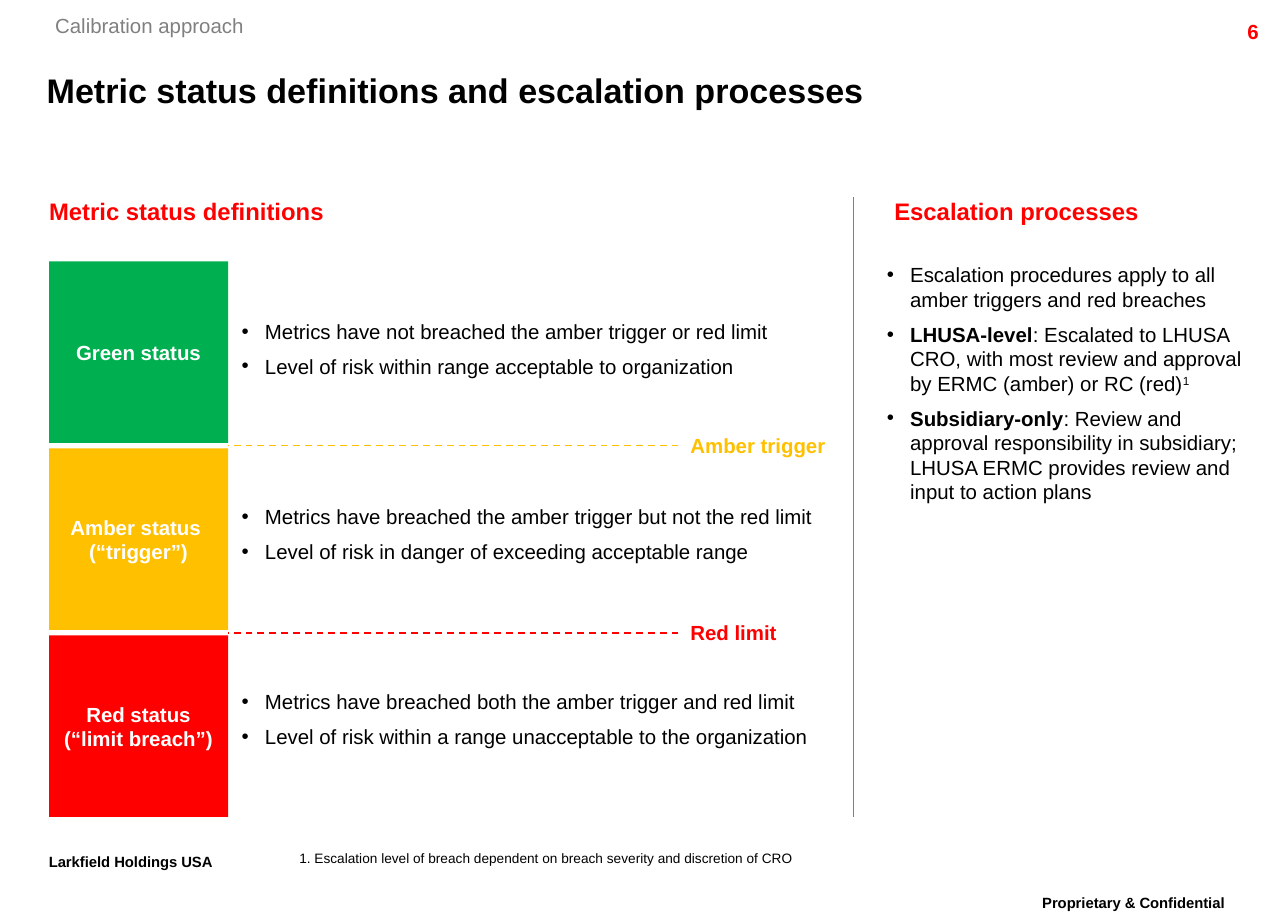
from pptx import Presentation
from pptx.dml.color import RGBColor as Rgb
from pptx.enum.dml import MSO_LINE as Dash
from pptx.enum.shapes import MSO_CONNECTOR as Conn, MSO_SHAPE as Form
from pptx.enum.text import MSO_ANCHOR as Anchor, PP_ALIGN as Align
from pptx.oxml.ns import qn
from pptx.util import Inches, Pt
from lxml.etree import SubElement as Sub

RED, AMBER, GREEN = "FF0000", "FFC000", "00B050"
BLACK, WHITE, GRAY = "000000", "FFFFFF", "808080"


def tint(code):
    return Rgb.from_string(code)


class Deck:
    """Draws styled elements on a slide, in grid units of a tenth of an inch."""

    face = "Arial"
    hang = 1.9

    def __init__(self, cols, rows):
        self.prs = Presentation()
        self.prs.slide_width, self.prs.slide_height = self.cells(cols, rows)
        self.slide = self.prs.slides.add_slide(self.prs.slide_layouts[6])

    def cells(self, *units):
        return [Inches(unit / 10) for unit in units]

    def label(self, shape, paras, size=12, color=BLACK, bold=False, align=Align.LEFT,
              anchor=Anchor.TOP, pad=(0, 0), bullet=False, raised=False, lead=None):
        frame = shape.text_frame
        frame.word_wrap = True
        frame.vertical_anchor = anchor
        frame.margin_left = frame.margin_right = self.cells(pad[0])[0]
        frame.margin_top = frame.margin_bottom = self.cells(pad[1])[0]
        for num, runs in enumerate(paras):
            para = frame.add_paragraph() if num else frame.paragraphs[0]
            para.alignment = align
            if lead:
                para.line_spacing = lead
            if bullet:
                if num:
                    para.space_before = Pt(6)
                self.dot(para)
            font = para.font
            font.name, font.size, font.bold = self.face, Pt(size), bold
            font.color.rgb = tint(color)
            for item in [runs] if isinstance(runs, str) else runs:
                words, mark = (item, "") if isinstance(item, str) else item
                run = para.add_run()
                run.text = words
                if mark == "bold":
                    run.font.bold = True
                if raised or mark == "super":
                    run.font._element.set("baseline", "30000")

    def dot(self, para):
        props = para._p.get_or_add_pPr()
        step = self.cells(self.hang)[0]
        props.set("marL", str(step))
        props.set("indent", str(-step))
        Sub(props, qn("a:buFont")).set("typeface", self.face)
        Sub(props, qn("a:buChar")).set("char", "•")

    def text(self, box, *paras, **style):
        self.label(self.slide.shapes.add_textbox(*self.cells(*box)), paras, **style)

    def block(self, box, color, *paras):
        shape = self.slide.shapes.add_shape(Form.RECTANGLE, *self.cells(*box))
        shape.shadow.inherit = False
        shape.fill.solid()
        shape.fill.fore_color.rgb = tint(color)
        shape.line.fill.background()
        self.label(shape, paras, color=WHITE, bold=True, align=Align.CENTER,
                   anchor=Anchor.MIDDLE, pad=(1, 0.5))

    def line(self, ends, color, width, dash=None):
        link = self.slide.shapes.add_connector(Conn.STRAIGHT, *self.cells(*ends))
        link.line.color.rgb = tint(color)
        link.line.width = Pt(width)
        if dash:
            link.line.dash_style = dash
        Sub(link._element.spPr, qn("a:effectLst"))

    def save(self):
        self.prs.save("out.pptx")


def main():
    deck = Deck(105, 75)
    note = dict(size=15, bold=True, align=Align.CENTER, pad=(1, 0.5), raised=True, lead=0.86)
    deck.text((81.5, 72.5, 21.8, 3.5), "Proprietary & Confidential", **note)
    deck.text((1.1, 69.1, 19.1, 3.5), "Larkfield Holdings USA", **note)
    deck.text((93.6, 1.1, 10, 2.4), "6", color=RED, bold=True, align=Align.RIGHT, pad=(1, 0.5))
    deck.text((4.5, 1.1, 20, 2), "Calibration approach", color=GRAY)
    deck.text((3.8, 4.9, 94.8, 4.8), "Metric status definitions and escalation processes",
              size=20, bold=True, anchor=Anchor.MIDDLE)

    for left, width, head in ((4, 47.3, "Metric status definitions"),
                              (72.9, 28.1, "Escalation processes")):
        deck.text((left, 16, width, 2.4), head, size=14, color=RED, bold=True)

    states = (
        (GREEN, ["Green status"], None,
         ["Metrics have not breached the amber trigger or red limit",
          "Level of risk within range acceptable to organization"]),
        (AMBER, ["Amber status ", "(“trigger”)"], "Amber trigger",
         ["Metrics have breached the amber trigger but not the red limit",
          "Level of risk in danger of exceeding acceptable range"]),
        (RED, ["Red status", "(“limit breach”)"], "Red limit",
         ["Metrics have breached both the amber trigger and red limit",
          "Level of risk within a range unacceptable to the organization"]),
    )
    for num, (color, name, limit, facts) in enumerate(states):
        top = 21.3 + 15.25 * num
        deck.block((4, top, 14.6, 14.8), color, *name)
        deck.text((19.7, 26 + 15.1 * num, 51.3, 5), *facts, bullet=True)
        if limit:
            edge = top - 0.22
            deck.line((55.3, edge, 18.6, edge), color, 1, Dash.DASH)
            deck.text((55.3, edge - 1.55, 14.6, 3.1), limit, color=color, bold=True, pad=(1, 0.5))

    deck.line((69.6, 16.1, 69.6, 66.6), GRAY, 0.75)
    deck.text((72.3, 21.4, 29, 19.9),
              "Escalation procedures apply to all amber triggers and red breaches",
              [("LHUSA-level", "bold"),
               ": Escalated to LHUSA CRO, with most review and approval by ERMC (amber) or RC (red)",
               ("1", "super")],
              [("Subsidiary-only", "bold"),
               ": Review and approval responsibility in subsidiary; "
               "LHUSA ERMC provides review and input to action plans"],
              bullet=True)
    deck.text((24.4, 69.3, 54.7, 1.3),
              "1. Escalation level of breach dependent on breach severity and discretion of CRO", size=8)
    deck.save()


if __name__ == "__main__":
    main()
